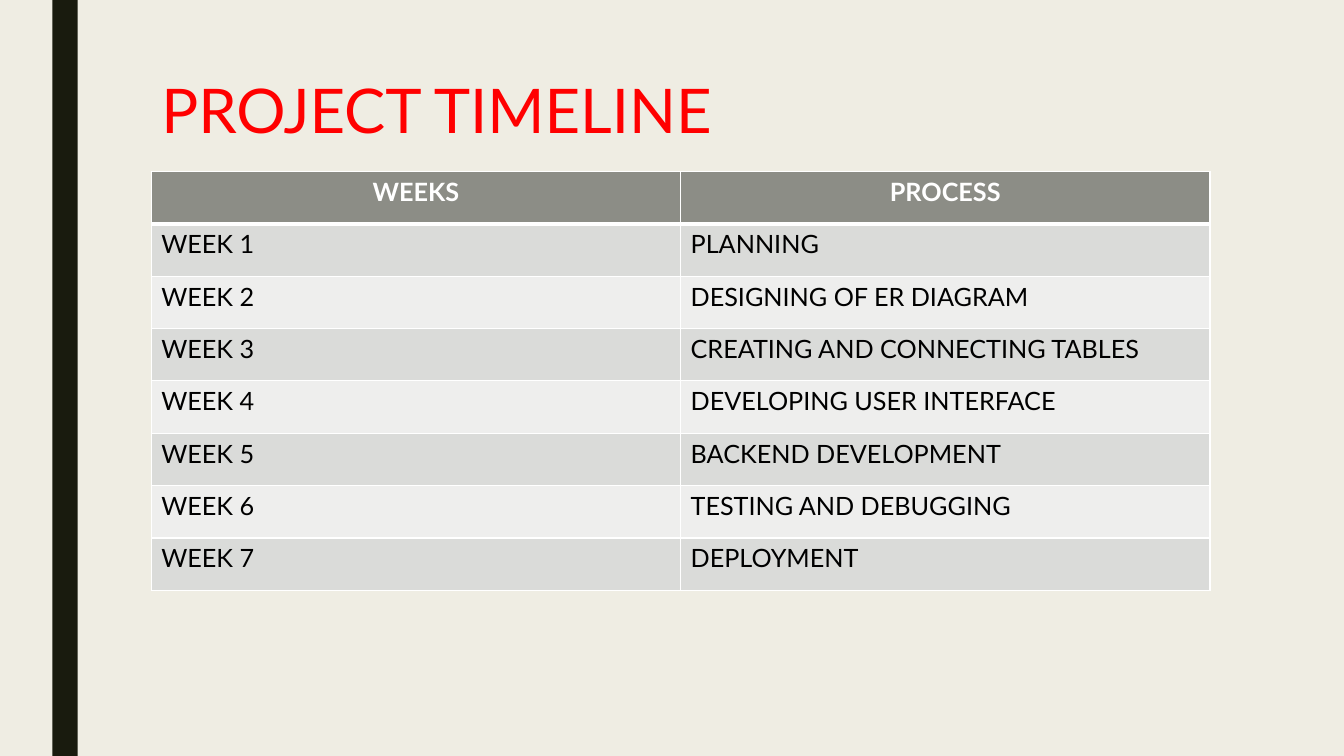
from dataclasses import dataclass

from lxml.etree import SubElement
from pptx import Presentation
from pptx.dml.color import RGBColor
from pptx.enum.shapes import MSO_SHAPE
from pptx.enum.text import MSO_ANCHOR, PP_ALIGN
from pptx.oxml.ns import qn
from pptx.slide import Slide
from pptx.table import _Cell
from pptx.util import Inches, Pt


@dataclass(frozen=True)
class Theme:
    font: str = "Lato"
    background: str = "EFEDE3"
    stripe: str = "191B0E"
    title: str = "FF0000"
    header: str = "8C8D86"
    bands: tuple[str, str] = ("DADBD9", "EEEEED")
    white: str = "FFFFFF"
    black: str = "000000"
    title_size: int = 44
    table_size: int = 18


@dataclass(frozen=True)
class CellStyle:
    fill: str
    color: str
    bold: bool
    align: PP_ALIGN
    top_border: int = 1
    bottom_border: int = 1


THEME = Theme()
HEADINGS = ("WEEKS", "PROCESS")
PROCESSES = (
    "PLANNING",
    "DESIGNING OF ER DIAGRAM",
    "CREATING AND CONNECTING TABLES",
    "DEVELOPING USER INTERFACE",
    "BACKEND DEVELOPMENT",
    "TESTING AND DEBUGGING",
    "DEPLOYMENT",
)


def color(value: str) -> RGBColor:
    return RGBColor.from_string(value)


def add_stripe(page: Slide) -> None:
    stripe = page.shapes.add_shape(
        MSO_SHAPE.RECTANGLE, Inches(0.52), Inches(0), Inches(0.25), Inches(7.5)
    )
    stripe.shadow.inherit = False
    stripe.fill.solid()
    stripe.fill.fore_color.rgb = color(THEME.stripe)
    stripe.line.fill.background()


def set_title(page: Slide, text: str) -> None:
    title = page.shapes.title
    title.left, title.top = Inches(1.5), Inches(0.75)
    title.width, title.height = Inches(10.5), Inches(1.62)
    title.text_frame.text = text
    title.text_frame.vertical_anchor = MSO_ANCHOR.TOP
    para = title.text_frame.paragraphs[0]
    para.alignment = PP_ALIGN.LEFT
    para.line_spacing = 0.89
    para.font.name = THEME.font
    para.font.size = Pt(THEME.title_size)
    para.font.color.rgb = color(THEME.title)


def add_border(cell: _Cell, side: str, width: int) -> None:
    properties = cell._tc.get_or_add_tcPr()
    line = SubElement(properties, qn(f"a:{side}"), w=str(Pt(width)))
    fill = SubElement(line, qn("a:solidFill"))
    SubElement(fill, qn("a:srgbClr"), val=THEME.white)


def fill_cell(cell: _Cell, text: str, style: CellStyle) -> None:
    cell.text = text
    para = cell.text_frame.paragraphs[0]
    para.alignment = style.align
    para.font.name = THEME.font
    para.font.size = Pt(THEME.table_size)
    para.font.bold = style.bold
    para.font.color.rgb = color(style.color)
    add_border(cell, "lnL", 1)
    add_border(cell, "lnR", 1)
    add_border(cell, "lnT", style.top_border)
    add_border(cell, "lnB", style.bottom_border)
    cell.fill.solid()
    cell.fill.fore_color.rgb = color(style.fill)


def row_style(index: int) -> CellStyle:
    if index == 0:
        return CellStyle(
            THEME.header, THEME.white, True, PP_ALIGN.CENTER, bottom_border=3
        )
    band = THEME.bands[(index - 1) % 2]
    top_border = 3 if index == 1 else 1
    return CellStyle(band, THEME.black, False, PP_ALIGN.LEFT, top_border)


def add_timeline(page: Slide) -> None:
    weeks = [(f"WEEK {number}", name) for number, name in enumerate(PROCESSES, 1)]
    rows = [HEADINGS, *weeks]
    table = page.shapes.add_table(
        len(rows), len(HEADINGS),
        Inches(1.5), Inches(1.7), Inches(10.5), Inches(0.52 * len(rows)),
    ).table
    for index, texts in enumerate(rows):
        style = row_style(index)
        for cell, text in zip(table.rows[index].cells, texts):
            fill_cell(cell, text, style)


def main() -> None:
    deck = Presentation()
    deck.slide_width, deck.slide_height = Inches(13.33), Inches(7.5)
    page = deck.slides.add_slide(deck.slide_layouts.get_by_name("Title Only"))
    page.background.fill.solid()
    page.background.fill.fore_color.rgb = color(THEME.background)
    add_stripe(page)
    set_title(page, "PROJECT TIMELINE")
    add_timeline(page)
    deck.save("out.pptx")


if __name__ == "__main__":
    main()
